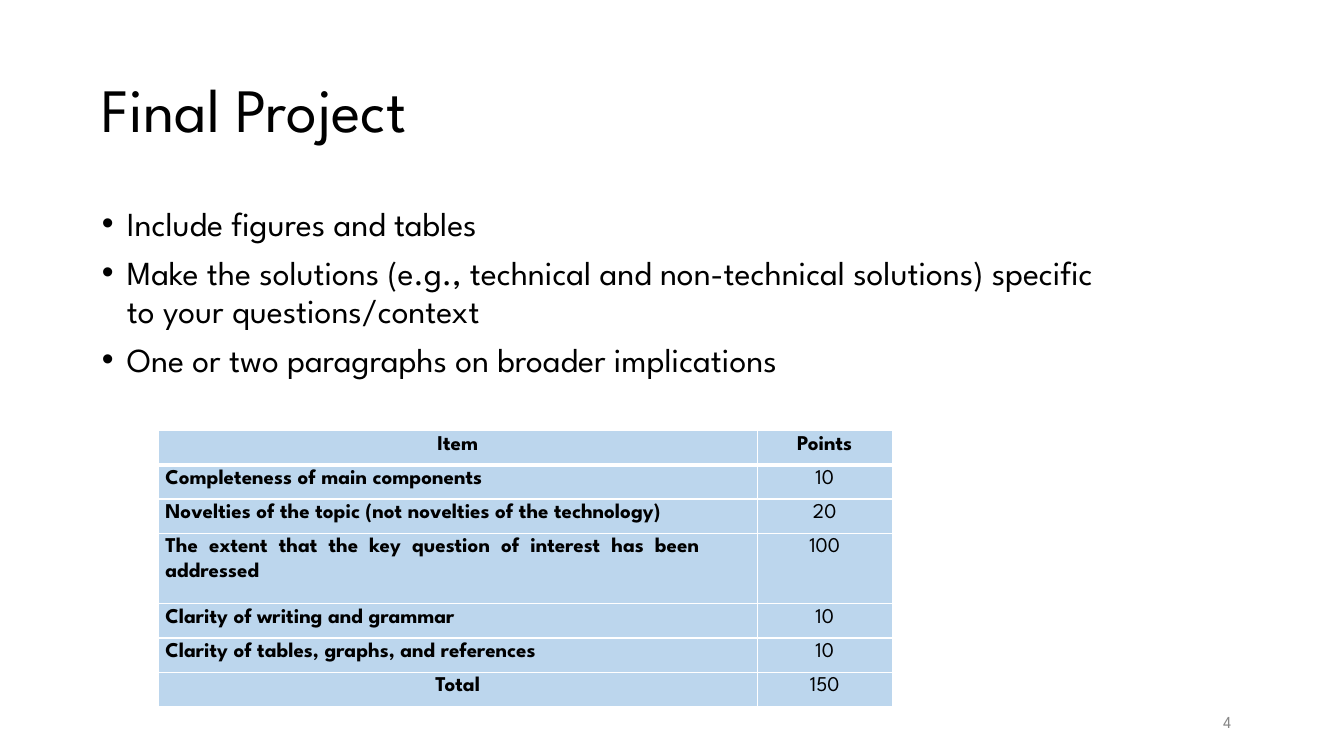
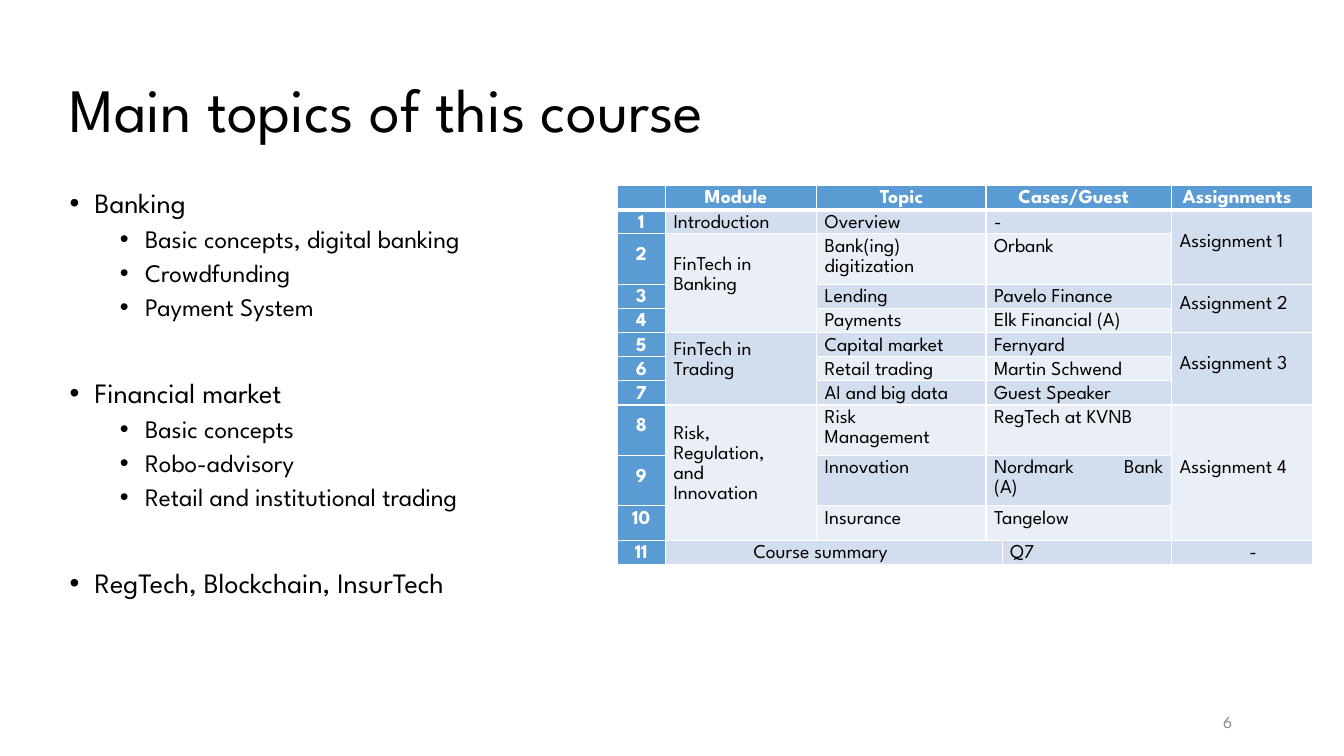
from lxml import etree
from pptx import Presentation
from pptx import util as u
from pptx.dml.color import RGBColor
from pptx.enum import text
from pptx.oxml import ns

FONT = "League Spartan"
BLACK, WHITE, GRAY = "000000", "FFFFFF", "888888"
PALE_BLUE, BLUE, BAND_ODD, BAND_EVEN = "BCD6ED", "5B9BD4", "D2DEEE", "EAEEF7"
LEFT, CENTER, JUSTIFY = text.PP_ALIGN.LEFT, text.PP_ALIGN.CENTER, text.PP_ALIGN.JUSTIFY
MIDDLE = text.MSO_ANCHOR.MIDDLE

PROJECT_POINTS = [
    "Include figures and tables",
    "Make the solutions (e.g., technical and non-technical solutions) specific to your questions/context",
    "One or two paragraphs on broader implications",
]
GRADING = [
    ("Item", "Points"),
    ("Completeness of main components", "10"),
    ("Novelties of the topic (not novelties of the technology)", "20"),
    ("The extent that the key question of interest has been addressed", "100"),
    ("Clarity of writing and grammar", "10"),
    ("Clarity of tables, graphs, and references", "10"),
    ("Total", "150"),
]
TOPICS = [
    ("Banking", ["Basic concepts, digital banking", "Crowdfunding", "Payment System"]),
    ("Financial market", ["Basic concepts", "Robo-advisory", "Retail and institutional trading"]),
    ("RegTech, Blockchain, InsurTech", []),
]
SCHEDULE = [
    ("", "Module", "Topic", "Cases/Guest", None, "Assignments"),
    ("1", "Introduction", "Overview", "-", None, "Assignment 1"),
    ("2", "FinTech in\nBanking", "Bank(ing)\ndigitization", "Orbank", None, None),
    ("3", None, "Lending", "Pavelo Finance", None, "Assignment 2"),
    ("4", None, "Payments", "Elk Financial (A)", None, None),
    ("5", "FinTech in\nTrading", "Capital market", "Fernyard", None, "Assignment 3"),
    ("6", None, "Retail trading", "Martin Schwend", None, None),
    ("7", None, "AI and big data", "Guest Speaker", None, None),
    ("8", "Risk,\nRegulation,\nand\nInnovation", "Risk\nManagement", "RegTech at KVNB", None, "Assignment 4"),
    ("9", None, "Innovation", "Nordmark\tBank\n(A)", None, None),
    ("10", None, "Insurance", "Tangelow", None, None),
    ("11", "Course summary", None, None, "Q7", "-"),
]
MODULE_ROWS = [(2, 4), (5, 7), (8, 10)]
ASSIGNMENT_ROWS = [(1, 2), (3, 4), (5, 7), (8, 10)]
CASE_TAB = 1.29


def color(value):
    return RGBColor.from_string(value)


def style(paragraph, size, ink=BLACK, bold=False, align=LEFT, spacing=None, before=0):
    font = paragraph.font
    font.name, font.size, font.bold = FONT, u.Pt(size), bold
    font.color.rgb = color(ink)
    paragraph.alignment = align
    paragraph.space_before = u.Pt(before)
    if spacing:
        paragraph.line_spacing = u.Pt(spacing)


def add_text_box(slide, left, top, width, height):
    box = slide.shapes.add_textbox(*map(u.Inches, (left, top, width, height)))
    frame = box.text_frame
    frame.word_wrap = True
    frame.margin_left = frame.margin_top = frame.margin_right = frame.margin_bottom = 0
    return frame


def add_line(slide, content, left, top, width, height, size, ink=BLACK):
    paragraph = add_text_box(slide, left, top, width, height).paragraphs[0]
    paragraph.text = content
    style(paragraph, size, ink)


def add_base_slide(presentation, title, left, number):
    slide = presentation.slides.add_slide(presentation.slide_layouts[6])
    add_line(slide, title, left + 0.01, 0.7, 10.2, 0.75, 44)
    add_line(slide, number, 12.13, 7.06, 0.25, 0.2, 12, GRAY)
    return slide


def add_bullets(slide, items, left, top, width, height):
    frame = add_text_box(slide, left, top, width, height)
    for index, (content, indent, size, spacing, before) in enumerate(items):
        paragraph = frame.add_paragraph() if index else frame.paragraphs[0]
        paragraph.text = content
        style(paragraph, size, spacing=spacing, before=before if index else 0)
        properties = paragraph._p.get_or_add_pPr()
        properties.set("marL", str(u.Inches(indent)))
        properties.set("indent", str(u.Inches(-0.25)))
        bullet_font = etree.Element(ns.qn("a:buFont"), typeface="Arial")
        bullet = etree.Element(ns.qn("a:buChar"), char="•")
        place = properties.index(properties.find(ns.qn("a:defRPr")))
        properties[place:place] = [bullet_font, bullet]


def add_tab(paragraph, position):
    tabs = etree.Element(ns.qn("a:tabLst"))
    etree.SubElement(tabs, ns.qn("a:tab"), pos=str(u.Inches(position)), algn="l")
    paragraph._p.get_or_add_pPr().find(ns.qn("a:defRPr")).addprevious(tabs)


def set_borders(cell, row):
    properties = cell._tc.get_or_add_tcPr()
    weights = {"lnL": 1, "lnR": 1, "lnT": 3 if row == 1 else 1, "lnB": 3 if row == 0 else 1}
    for index, (side, weight) in enumerate(weights.items()):
        line = etree.Element(ns.qn("a:" + side), w=str(u.Pt(weight)))
        fill = etree.SubElement(line, ns.qn("a:solidFill"))
        etree.SubElement(fill, ns.qn("a:srgbClr"), val=WHITE)
        properties.insert(index, line)


def add_grid(slide, left, top, widths, heights, row_fill):
    frame = slide.shapes.add_table(len(heights), len(widths), u.Inches(left), u.Inches(top),
                                   u.Inches(sum(widths)), u.Inches(sum(heights)))
    table = frame.table
    table.first_row = table.horz_banding = False
    for column, width in zip(table.columns, widths):
        column.width = u.Inches(width)
    for row, height in enumerate(heights):
        table.rows[row].height = u.Inches(height)
        for column in range(len(widths)):
            cell = table.cell(row, column)
            cell.fill.solid()
            cell.fill.fore_color.rgb = color(row_fill(row, column))
            set_borders(cell, row)
    return table


def write_cell(cell, content, margins=(0, 0, 0, 0), **look):
    cell.margin_left, cell.margin_top, cell.margin_right, cell.margin_bottom = map(u.Inches, margins)
    cell.text_frame.text = content
    for paragraph in cell.text_frame.paragraphs:
        style(paragraph, **look)
        if "\t" in content:
            add_tab(paragraph, CASE_TAB)


def build_project(presentation):
    slide = add_base_slide(presentation, "Final Project", 1, "4")
    add_bullets(slide, [(point, 0.26, 24, 27.4, 7.5) for point in PROJECT_POINTS], 1, 2.03, 10, 1.75)
    heights = [0.7 if row == 3 else 0.34 for row in range(len(GRADING))]
    table = add_grid(slide, 1.57, 4.27, [5.94, 1.34], heights, lambda row, column: PALE_BLUE)
    for row, (item, points) in enumerate(GRADING):
        edge = row in (0, len(GRADING) - 1)
        write_cell(table.cell(row, 0), item, (0 if edge else 0.07, 0, 0 if edge else 0.57, 0), size=15,
                   bold=True, align=CENTER if edge else JUSTIFY, spacing=17.5)
        write_cell(table.cell(row, 1), points, size=15, bold=row == 0, align=CENTER, spacing=17.5)


def schedule_fill(row, column):
    if row == 0 or column == 0:
        return BLUE
    return BAND_ODD if row % 2 else BAND_EVEN


def build_topics(presentation):
    slide = add_base_slide(presentation, "Main topics of this course", 0.68, "6")
    bullets = []
    for topic, details in TOPICS:
        bullets.append((topic, 0.26, 20, 21.5, 41))
        bullets += [(detail, 0.76, 18, 21.5, 2.9) for detail in details]
    add_bullets(slide, bullets, 0.68, 1.88, 4.57, 4.1)

    last = len(SCHEDULE) - 1
    heights = [{2: 0.5, 8: 0.5, 9: 0.5, 10: 0.34}.get(row, 0.24) for row in range(last + 1)]
    table = add_grid(slide, 6.12, 1.84, [0.48, 1.5, 1.68, 0.16, 1.68, 1.4], heights, schedule_fill)
    merges = [(row, 3, row, 4) for row in range(last)] + [(last, 1, last, 3)]
    merges += [(first, 1, end, 1) for first, end in MODULE_ROWS]
    merges += [(first, 5, end, 5) for first, end in ASSIGNMENT_ROWS]
    for top, left, bottom, right in merges:
        table.cell(top, left).merge(table.cell(bottom, right))

    lifts = {0: 0.11, 1: 0.2, 5: 0.12}
    for row, values in enumerate(SCHEDULE):
        for column, content in enumerate(values):
            if content is None:
                continue
            cell = table.cell(row, column)
            label = row == 0 or column == 0
            margins = [0, 0, 0, 0] if label else [0.08, 0, 0, 0]
            if row == 0 and column != 2:
                margins[2] = 0.1
            if row == last and column == 1:
                margins[2] = 0.34
            if row == last and column == 5:
                margins[0] = 0.22
            spacing = 16.3
            if "\n" in content:
                margins[1], spacing = 0.03, 14.2
            if column in lifts and (cell.span_height > 1 or heights[row] > 0.3):
                margins[3] = lifts[column]
                cell.vertical_anchor = MIDDLE
            centered = label or (row == last and column in (1, 5))
            write_cell(cell, content, margins, size=14, ink=WHITE if label else BLACK, bold=label,
                       align=CENTER if centered else LEFT, spacing=spacing)


def main():
    presentation = Presentation()
    presentation.slide_width, presentation.slide_height = u.Inches(13.33), u.Inches(7.5)
    build_project(presentation)
    build_topics(presentation)
    presentation.save("out.pptx")


if __name__ == "__main__":
    main()
